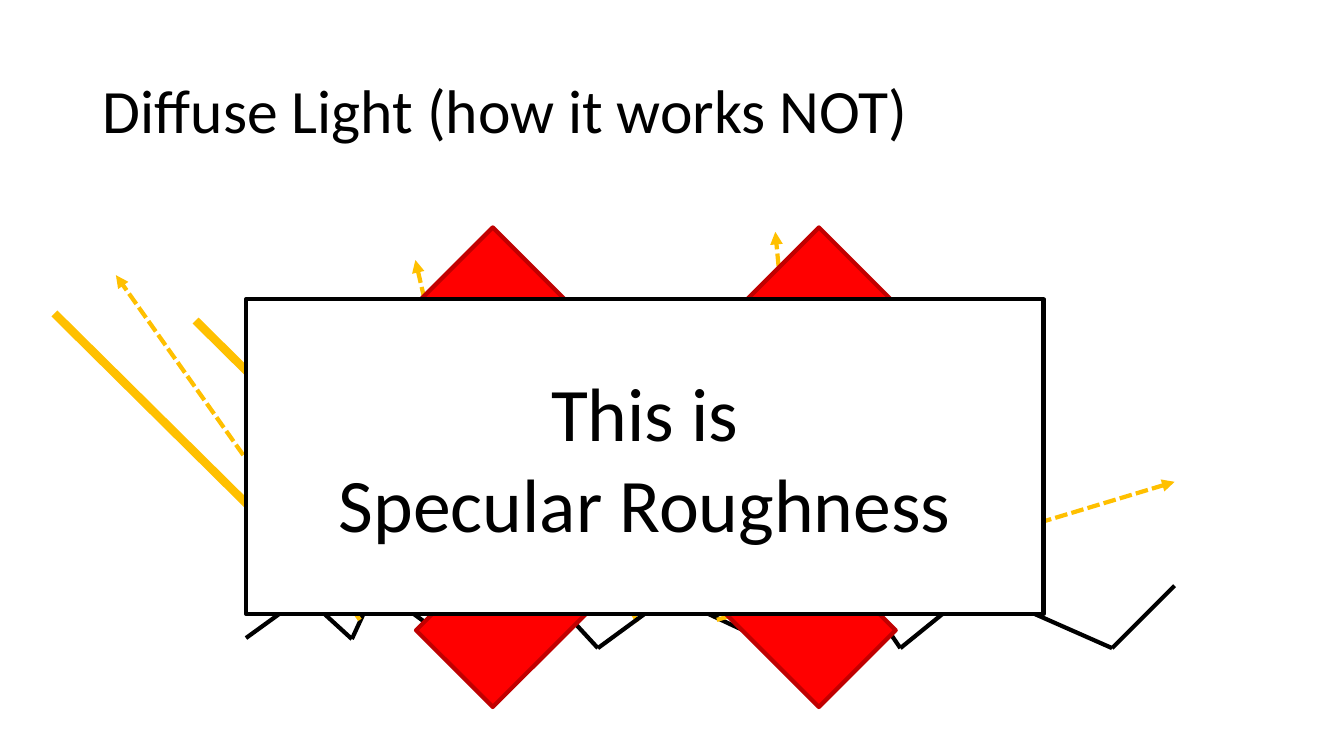
from itertools import pairwise

from lxml import etree
from pptx import Presentation
from pptx.dml.color import RGBColor
from pptx.enum.dml import MSO_LINE
from pptx.enum.shapes import MSO_CONNECTOR, MSO_SHAPE
from pptx.enum.text import MSO_ANCHOR, PP_ALIGN
from pptx.oxml.ns import qn
from pptx.util import Inches, Pt

STRAIGHT = MSO_CONNECTOR.STRAIGHT
DASH = MSO_LINE.SQUARE_DOT
CROSS, RECT = MSO_SHAPE.MATH_MULTIPLY, MSO_SHAPE.RECTANGLE
MIDDLE = MSO_ANCHOR.MIDDLE
LEFT, CENTER = PP_ALIGN.LEFT, PP_ALIGN.CENTER
TITLE_ONLY = 5

FONT = "Calibri"
COLORS = {"ink": "000000", "paper": "FFFFFF", "light": "FFC000",
          "cross": "FF0000", "cross_edge": "C00000"}

RAY_RUN, RAY_DROP = 3.03, 3.0
BOUNCE_GAP = 0.04
# Start of each incoming ray, end of its reflection
RAYS = [((3.29, 3.13), (4.58, 2.6)),
        ((4.08, 3.11), (11.65, 4.78)),
        ((1.94, 3.18), (4.12, 2.58)),
        ((0.54, 3.11), (1.15, 2.73)),
        ((5.02, 3.09), (7.69, 2.3))]
SURFACE = [(2.44, 6.33), (3.02, 5.91), (3.49, 6.34), (3.73, 5.82),
           (4.57, 6.43), (5.45, 5.91), (5.93, 6.43), (6.64, 5.91),
           (7.58, 6.35), (8.52, 5.83), (8.93, 6.43), (9.67, 5.83),
           (11.03, 6.43), (11.65, 5.81)]


def rgb(name):
    return RGBColor.from_string(COLORS[name])


def add_line(s, start, end, color, width, dash=None, arrow=False):
    line = s.shapes.add_connector(STRAIGHT, *map(Inches, start + end))
    line.line.color.rgb = rgb(color)
    line.line.width = Pt(width)
    if dash is not None:
        line.line.dash_style = dash
    if arrow:
        ln = line.line._get_or_add_ln()
        etree.SubElement(ln, qn("a:tailEnd"), type="triangle")
    etree.SubElement(line._element.spPr, qn("a:effectLst"))


def add_ray(s, start, bounce_end):
    """Draw an incoming ray and the dashed reflection from its hit point."""
    x, y = start[0] + RAY_RUN, start[1] + RAY_DROP
    add_line(s, start, (x, y), "light", 6, arrow=True)
    add_line(s, (x, y + BOUNCE_GAP), bounce_end, "light", 3, DASH, arrow=True)


def add_surface(s):
    for start, end in pairwise(SURFACE):
        add_line(s, start, end, "ink", 3)


def add_box(s, kind, box, fill, edge):
    sp = s.shapes.add_shape(kind, *map(Inches, box))
    sp.shadow.inherit = False
    sp.fill.solid()
    sp.fill.fore_color.rgb = rgb(fill)
    sp.line.color.rgb = rgb(edge)
    sp.line.width = Pt(3)
    return sp


def write(tf, lines, size, align, spacing=None):
    tf.word_wrap = True
    tf.vertical_anchor = MIDDLE
    for i, text in enumerate(lines):
        p = tf.add_paragraph() if i else tf.paragraphs[0]
        p.alignment = align
        p.line_spacing = spacing
        r = p.add_run()
        r.text = text
        r.font.name = FONT
        r.font.size = Pt(size)
        r.font.color.rgb = rgb("ink")


def add_title(s, text):
    title = s.shapes.title
    title.left, title.top = Inches(0.92), Inches(0.4)
    title.width, title.height = Inches(11.5), Inches(1.45)
    write(title.text_frame, [text], 44, LEFT, 0.9)


def main():
    prs = Presentation()
    prs.slide_width, prs.slide_height = Inches(13.33), Inches(7.5)
    s = prs.slides.add_slide(prs.slide_layouts[TITLE_ONLY])

    add_title(s, "Diffuse Light (how it works NOT)")
    add_ray(s, *RAYS[0])
    add_surface(s)
    for ray in RAYS[1:]:
        add_ray(s, *ray)

    cross = add_box(s, CROSS, (2.66, 0.79, 7.69, 7.69), "cross", "cross_edge")
    cross.adjustments[0] = 0.14
    label = add_box(s, RECT, (2.44, 2.97, 7.91, 3.12), "paper", "ink")
    write(label.text_frame, ["This is", "Specular Roughness"], 54, CENTER)

    prs.save("out.pptx")


if __name__ == "__main__":
    main()
